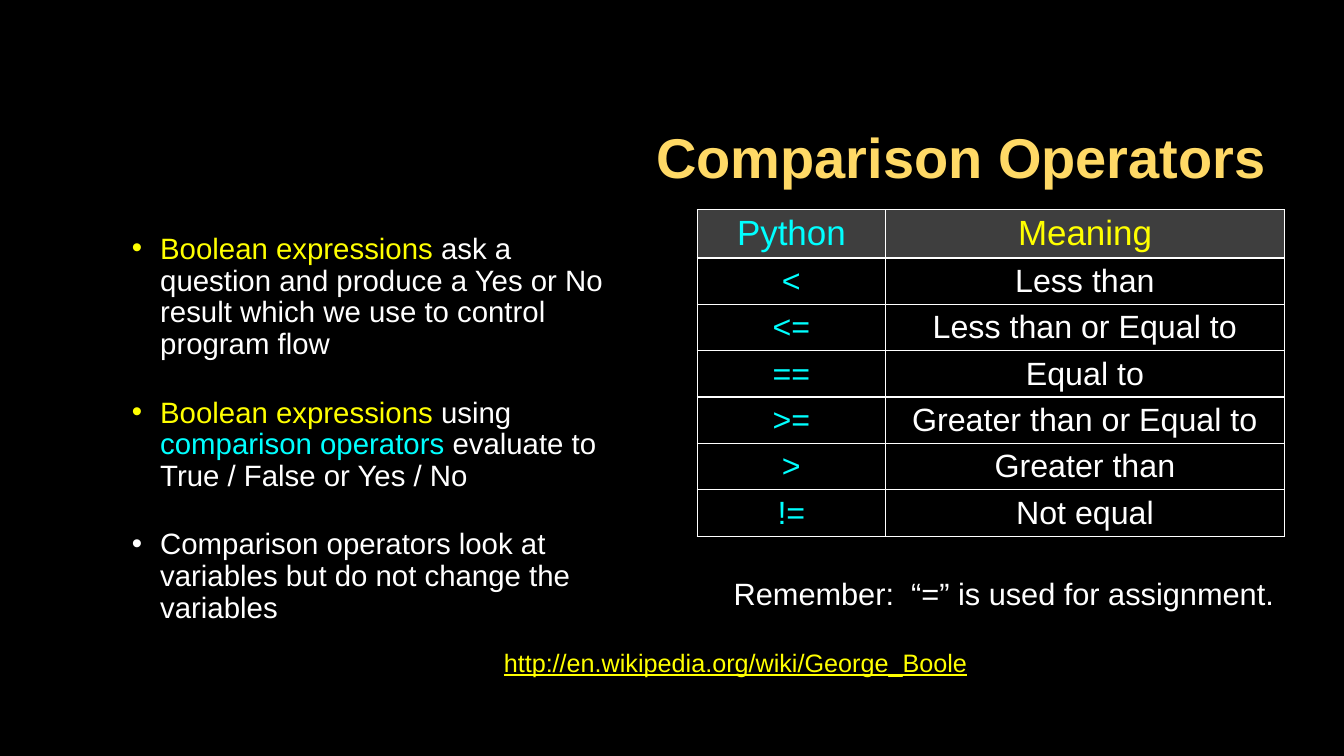
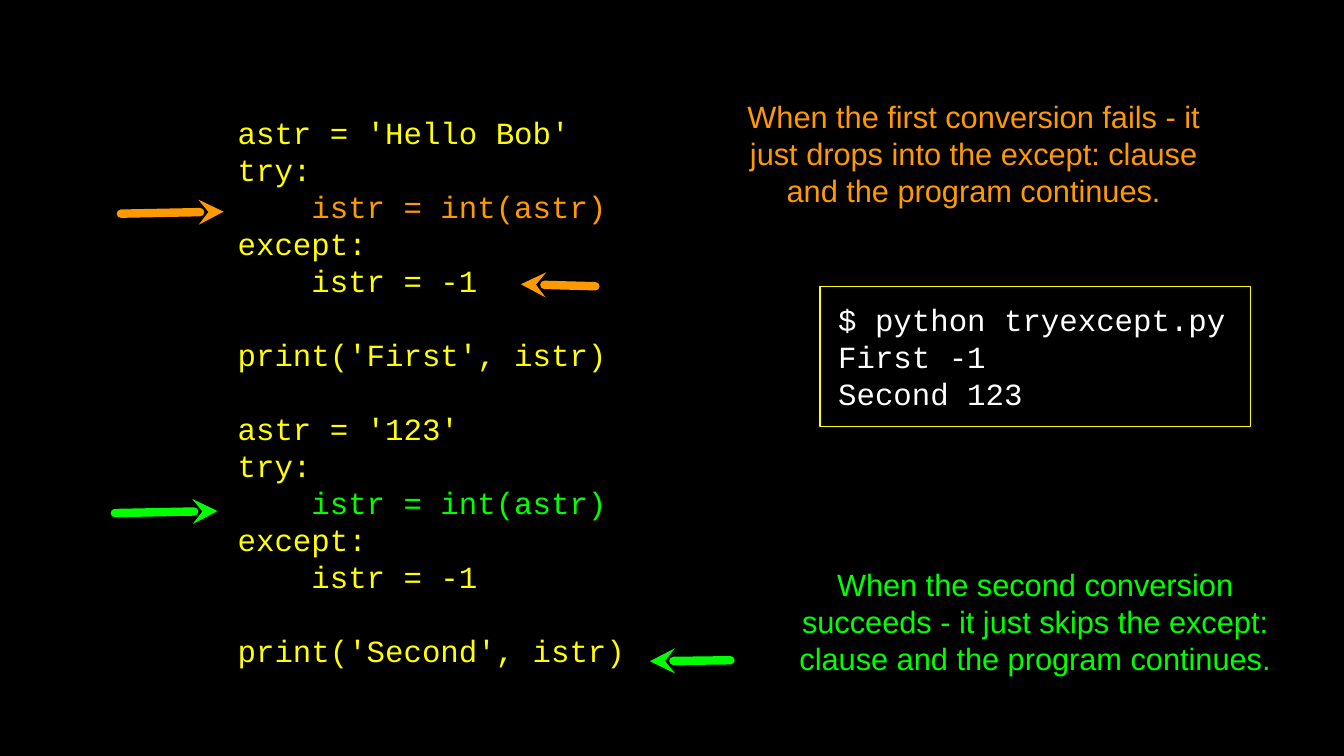
from lxml import etree
from pptx import Presentation
from pptx.dml.color import RGBColor
from pptx.enum.shapes import MSO_CONNECTOR, MSO_SHAPE
from pptx.enum.text import MSO_ANCHOR, MSO_AUTO_SIZE, PP_ALIGN
from pptx.oxml.ns import qn
from pptx.util import Inches, Pt

# Shared look
BLACK = RGBColor(0x00, 0x00, 0x00)
WHITE = RGBColor(0xFF, 0xFF, 0xFF)
YELLOW = RGBColor(0xFF, 0xFF, 0x00)
CYAN = RGBColor(0x00, 0xFF, 0xFF)
GOLD = RGBColor(0xFF, 0xD9, 0x66)
ORANGE = RGBColor(0xFF, 0x99, 0x00)
GREEN = RGBColor(0x00, 0xFF, 0x00)
GREY = RGBColor(0x3E, 0x3E, 0x3E)
SANS, MONO = "Arial", "Courier New"
LEFT, CENTER, RIGHT = PP_ALIGN.LEFT, PP_ALIGN.CENTER, PP_ALIGN.RIGHT
MIDDLE = MSO_ANCHOR.MIDDLE
LEADING = 1.2
TITLE_LAYOUT, BLANK_LAYOUT = 1, 6

# Content: the comparison slide
TITLE = "Comparison Operators"
BULLETS = [
    [("Boolean expressions ", YELLOW),
     ("ask a question and produce a Yes or No result "
      "which we use to control program flow", WHITE)],
    [("Boolean expressions", YELLOW), (" using ", WHITE),
     ("comparison operators", CYAN),
     (" evaluate to True / False or Yes / No", WHITE)],
    [("Comparison operators look at variables "
      "but do not change the variables", WHITE)],
]
OPERATORS = [
    ("Python", "Meaning"),
    ("<", "Less than"),
    ("<=", "Less than or Equal to"),
    ("==", "Equal to"),
    (">=", "Greater than or Equal to"),
    (">", "Greater than"),
    ("!=", "Not equal"),
]
COLUMN_WIDTHS = (1.87, 3.96)
HEADER_HEIGHT, ROW_HEIGHT = 0.48, 0.46
REMINDER = "Remember:  “=” is used for assignment."
LINK = "http://en.wikipedia.org/wiki/George_Boole"

# Content: the try / except slide, code in blocks of lines
CODE_BLOCKS = [
    [[("astr = 'Hello Bob'", YELLOW)],
     [("try:", YELLOW)],
     [("    istr = int(astr)", ORANGE)],
     [("except:", YELLOW)],
     [("    istr = -1", YELLOW)]],
    [[("print('First', istr)", YELLOW)]],
    [[("astr = '123'", YELLOW)],
     [("try:", YELLOW)],
     [("    istr = int(astr)", GREEN)],
     [("except:", YELLOW)],
     [("    istr = -1", YELLOW)]],
    [[("print('Second', istr)", YELLOW)]],
]
TERMINAL = ["$ python tryexcept.py", "First -1", "Second 123"]
REMARKS = [
    (7.25, 0.93, ORANGE, "When the first conversion fails - it just drops "
     "into the except: clause and the program continues."),
    (7.86, 5.57, GREEN, "When the second conversion succeeds - it just skips "
     "the except: clause and the program continues."),
]
ARROWS = [  # start, tip, colour
    ((1.2, 2.12), (2.22, 2.1), ORANGE),
    ((5.91, 2.84), (5.17, 2.82), ORANGE),
    ((1.14, 5.09), (2.16, 5.07), GREEN),
    ((7.25, 6.55), (6.45, 6.56), GREEN),
]


def place(shape, left, top, width, height):
    shape.left, shape.top = Inches(left), Inches(top)
    shape.width, shape.height = Inches(width), Inches(height)


def prepare(frame, inset=0.0, left_inset=None):
    frame.word_wrap = True
    frame.auto_size = MSO_AUTO_SIZE.NONE
    frame.vertical_anchor = MIDDLE
    frame.margin_top = frame.margin_bottom = frame.margin_right = Inches(inset)
    frame.margin_left = Inches(inset if left_inset is None else left_inset)


def add_spans(para, spans, size, font=SANS, bold=False, underline=False):
    for text, color in spans:
        span = para.add_run()
        span.text = text
        span.font.name = font
        span.font.size = Pt(size)
        span.font.bold = bold
        span.font.underline = underline
        span.font.color.rgb = color


def add_bullet(para, color):
    props = para._p.get_or_add_pPr()
    props.set("marL", str(Inches(0.61)))
    props.set("indent", str(Inches(-0.28)))
    tint = etree.SubElement(props, qn("a:buClr"))
    etree.SubElement(tint, qn("a:srgbClr"), val=str(color))
    etree.SubElement(props, qn("a:buFont"), typeface=SANS)
    etree.SubElement(props, qn("a:buChar"), char="•")


def write_paragraphs(frame, paragraphs, size, align=LEFT, leading=LEADING,
                     gaps=None, bullets=False, **style):
    """Fill a frame; gaps maps a paragraph's index to the space before it."""
    for index, spans in enumerate(paragraphs):
        para = frame.add_paragraph() if index else frame.paragraphs[0]
        if bullets:
            add_bullet(para, spans[0][1])
        para.alignment = align
        para.line_spacing = Pt(size * leading)
        para.space_before = Pt((gaps or {}).get(index, 0))
        add_spans(para, spans, size, **style)


def add_text(page, bounds, paragraphs, size, **options):
    box = page.shapes.add_textbox(0, 0, 0, 0)
    place(box, *bounds)
    prepare(box.text_frame)
    write_paragraphs(box.text_frame, paragraphs, size, **options)


def border_cell(cell):
    props = cell._tc.get_or_add_tcPr()
    for index, side in enumerate(("a:lnL", "a:lnR", "a:lnT", "a:lnB")):
        edge = etree.Element(qn(side), w=str(Pt(0.96)))
        fill = etree.SubElement(edge, qn("a:solidFill"))
        etree.SubElement(fill, qn("a:srgbClr"), val=str(WHITE))
        props.insert(index, edge)


def add_operator_table(page, left, top):
    holder = page.shapes.add_table(
        len(OPERATORS), len(COLUMN_WIDTHS), Inches(left), Inches(top),
        Inches(sum(COLUMN_WIDTHS)),
        Inches(HEADER_HEIGHT + ROW_HEIGHT * (len(OPERATORS) - 1)))
    table = holder.table
    table.first_row = table.horz_banding = False
    for column, width in zip(table.columns, COLUMN_WIDTHS):
        column.width = Inches(width)
    for r, texts in enumerate(OPERATORS):
        header = r == 0
        table.rows[r].height = Inches(HEADER_HEIGHT if header else ROW_HEIGHT)
        for c, color in enumerate((CYAN, YELLOW if header else WHITE)):
            cell = table.cell(r, c)
            cell.vertical_anchor = MIDDLE
            cell.margin_left = cell.margin_right = Inches(0.03)
            cell.margin_top = cell.margin_bottom = Inches(0.04)
            if header:
                cell.fill.solid()
                cell.fill.fore_color.rgb = GREY
            else:
                cell.fill.background()
            border_cell(cell)
            para = cell.text_frame.paragraphs[0]
            para.alignment = CENTER
            add_spans(para, [(texts[c], color)], 25 if header else 23)


def add_arrow(page, start, tip, color):
    arrow = page.shapes.add_connector(
        MSO_CONNECTOR.STRAIGHT, *(Inches(v) for v in start + tip))
    arrow.line.width = Pt(6)
    arrow.line.color.rgb = color
    line = arrow.line._get_or_add_ln()
    line.set("cap", "rnd")
    etree.SubElement(line, qn("a:tailEnd"), type="stealth")
    etree.SubElement(arrow._element.spPr, qn("a:effectLst"))


def build_comparison(deck):
    page = deck.slides.add_slide(deck.slide_layouts[TITLE_LAYOUT])
    title, body = page.placeholders
    place(title, 3.17, 0.84, 9.42, 1.41)
    prepare(title.text_frame, 0.03)
    write_paragraphs(title.text_frame, [[(TITLE, GOLD)]], 40,
                     align=RIGHT, bold=True)
    place(body, 0.95, 2.14, 5.29, 4.23)
    prepare(body.text_frame, 0.03)
    write_paragraphs(body.text_frame, BULLETS, 21, leading=0.9 * LEADING,
                     gaps={1: 26.2, 2: 26.2}, bullets=True)
    add_text(page, (3.59, 6.37, 7.42, 0.4), [[(LINK, YELLOW)]], 18,
             align=CENTER, underline=True)
    add_text(page, (7.18, 5.67, 5.57, 0.42), [[(REMINDER, WHITE)]], 22,
             align=CENTER)
    add_operator_table(page, 6.92, 2.08)


def build_try_except(deck):
    page = deck.slides.add_slide(deck.slide_layouts[BLANK_LAYOUT])

    # Code, with one line's height between blocks
    lines, gaps = [], {}
    for block in CODE_BLOCKS:
        if lines:
            gaps[len(lines)] = 22 * LEADING
        lines += block
    add_text(page, (2.36, 0.93, 4.27, 5.9), lines, 22, gaps=gaps, font=MONO)

    # Terminal output
    terminal = page.shapes.add_shape(MSO_SHAPE.RECTANGLE, 0, 0, 0, 0)
    place(terminal, 8.14, 2.84, 4.27, 1.39)
    terminal.shadow.inherit = False
    terminal.fill.background()
    terminal.line.color.rgb = YELLOW
    terminal.line.width = Pt(1)
    prepare(terminal.text_frame, left_inset=0.18)
    write_paragraphs(terminal.text_frame,
                     [[(text, WHITE)] for text in TERMINAL], 22, font=MONO)

    # Remarks and the arrows in their colours
    for left, top, color, text in REMARKS:
        add_text(page, (left, top, 4.83, 1.18), [[(text, color)]], 22,
                 align=CENTER)
    for start, tip, color in ARROWS:
        add_arrow(page, start, tip, color)


def main():
    deck = Presentation()
    deck.slide_width, deck.slide_height = Inches(13.34), Inches(7.5)
    backdrop = deck.slide_master.background.fill
    backdrop.solid()
    backdrop.fore_color.rgb = BLACK
    build_comparison(deck)
    build_try_except(deck)
    deck.save("out.pptx")


if __name__ == "__main__":
    main()
